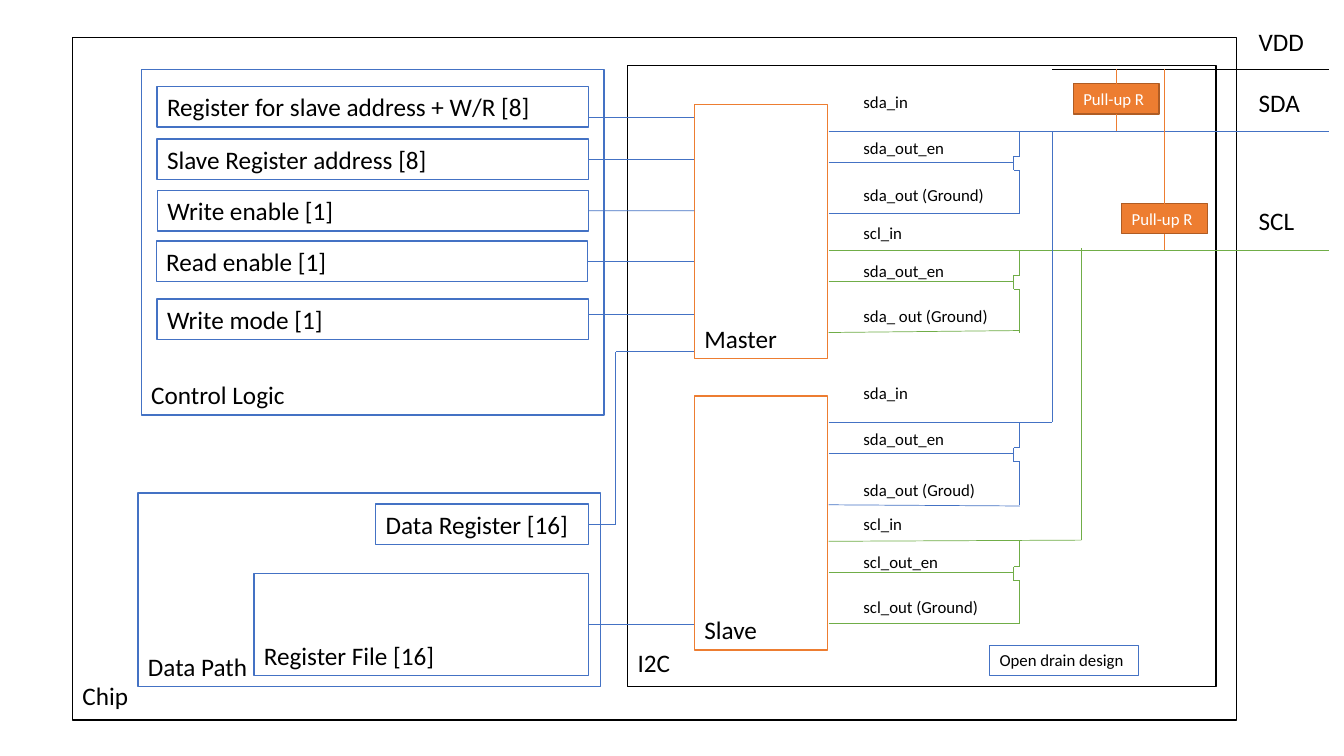
from dataclasses import dataclass
from typing import Optional

from lxml import etree
from pptx import Presentation
from pptx.dml.color import RGBColor
from pptx.enum.shapes import MSO_CONNECTOR, MSO_SHAPE
from pptx.enum.text import MSO_ANCHOR, MSO_AUTO_SIZE
from pptx.oxml.ns import qn
from pptx.shapes.autoshape import Shape
from pptx.shapes.connector import Connector
from pptx.slide import Slide
from pptx.util import Cm, Pt

RECT = MSO_SHAPE.RECTANGLE
LINE = MSO_CONNECTOR.STRAIGHT
MIDDLE, BOTTOM = MSO_ANCHOR.MIDDLE, MSO_ANCHOR.BOTTOM
NO_FIT = MSO_AUTO_SIZE.NONE
TOP_SIDE, LOW_SIDE, RIGHT_SIDE = 0, 2, 3


@dataclass(frozen=True)
class Theme:
    font: str = "Calibri"
    black: str = "000000"
    white: str = "FFFFFF"
    blue: str = "4472C4"
    orange: str = "ED7D31"
    rust: str = "AF5C24"
    green: str = "70AD47"
    large: int = 18
    small: int = 12
    thin: float = 0.5
    thick: float = 1


THEME = Theme()


@dataclass(frozen=True)
class Box:
    text: str
    x: float
    y: float
    w: float
    h: float
    line: str = THEME.blue
    fill: str = THEME.white
    ink: str = THEME.black
    size: int = THEME.large
    foot: float = 0.13


@dataclass(frozen=True)
class Label:
    text: str
    x: float
    y: float
    w: float
    h: float
    size: int


@dataclass(frozen=True)
class Wire:
    x1: float
    y1: float
    x2: float
    y2: float
    color: str = THEME.blue
    width: float = THEME.thin


@dataclass(frozen=True)
class Port:
    """One open-drain pin: its bus line, its switch and three labels."""
    bus: float
    color: str
    names: tuple[tuple[str, float], ...]
    tilt: float = 0


@dataclass(frozen=True)
class Pull:
    x: float
    y: float
    bus: float


# Edges and rails, in cm
PIN_L, PIN_R, REG_R = 17.5, 20.88, 14.83
DRAIN, GATE, EDGE = 25.7, 25.55, 33.5
VDD, SDA, SCL = 1.75, 3.3, 6.3
SDA_2, SCL_2 = 10.64, 13.64
SDA_TAP, SCL_TAP = 26.52, 27.25
ROW_H, TAG_H = 1.02, 0.76

FRAMES = (
    Box("Chip", 1.83, 0.94, 29.34, 17.2, THEME.black, foot=0.23),
    Box("I2C", 15.82, 1.65, 14.83, 15.65, THEME.black, foot=0.23),
    Box("Master", PIN_L, 2.64, 3.35, 6.4, THEME.orange),
    Box("Slave", PIN_L, 9.98, 3.35, 6.4, THEME.orange),
    Box("Control Logic", 3.56, 1.75, 11.66, 8.71),
    Box("Data Path", 3.48, 12.42, 11.66, 4.88),
    Box("Open drain design", 24.94, 16.26, 3.76, TAG_H, size=THEME.small),
)
FILE = Box("Register File [16]", 6.4, 14.45, 8.43, 2.57)
DATA = Box("Data Register [16]", 9.47, 12.7, 5.36, ROW_H)

# Control registers: text, left, top, and wire height where it is off centre
REGS: tuple[tuple[str, float, float, Optional[float]], ...] = (
    ("Register for slave address + W/R [8]", 3.96, 2.18, 2.95),
    ("Slave Register address [8]", 3.96, 3.5, None),
    ("Write enable [1]", 3.97, 4.8, None),
    ("Read enable [1]", 3.94, 6.07, None),
    ("Write mode [1]", 3.96, 7.54, 7.92),
)

PORTS = (
    Port(SDA, THEME.blue, (("sda_in", 2.18), ("sda_out_en", 3.35),
                           ("sda_out (Ground)", 4.52))),
    Port(SCL, THEME.green, (("scl_in", 5.49), ("sda_out_en", 6.45),
                            ("sda_ out (Ground)", 7.57)), -0.05),
    Port(SDA_2, THEME.blue, (("sda_in", 9.53), ("sda_out_en", 10.69),
                             ("sda_out (Groud)", 11.96)), 0.03),
    Port(SCL_2, THEME.green, (("scl_in", 12.83), ("scl_out_en", 13.79),
                              ("scl_out (Ground)", 14.91))),
)

BUSES = (
    Wire(PIN_R, SDA, EDGE, SDA),
    Wire(PIN_R, SCL, EDGE, SCL, THEME.green),
    Wire(PIN_R, SDA_2, SDA_TAP, SDA_2),
    Wire(PIN_R, SCL_2, SCL_TAP, 13.61, THEME.green),
    Wire(SDA_TAP, SDA_2, SDA_TAP, SDA),
    Wire(SCL_TAP, 13.61, SCL_TAP, 6.25, THEME.green),
    Wire(SDA_TAP, VDD, EDGE, VDD, THEME.black),
    Wire(15.52, 13.21, 15.52, 8.86),
    Wire(15.52, 8.86, PIN_L, 8.86),
)
RAILS = (("VDD", 0.53), ("SDA", 2.08), ("SCL", 5.05))
PULLS = (Pull(27.05, 2.11, SDA), Pull(28.27, 5.13, SCL))


def color(code: str) -> RGBColor:
    return RGBColor.from_string(code)


def write(shape: Shape, text: str, size: int, ink: str) -> None:
    frame = shape.text_frame
    frame.word_wrap = True
    frame.auto_size = NO_FIT
    para = frame.paragraphs[0]
    para.text = text
    para.alignment = 1
    para.font.name = THEME.font
    para.font.size = Pt(size)
    para.font.color.rgb = color(ink)


def draw_box(slide: Slide, box: Box) -> Shape:
    shape = slide.shapes.add_shape(RECT, Cm(box.x), Cm(box.y), Cm(box.w), Cm(box.h))
    shape.shadow.inherit = False
    shape.fill.solid()
    shape.fill.fore_color.rgb = color(box.fill)
    shape.line.color.rgb = color(box.line)
    shape.line.width = Pt(THEME.thick)
    write(shape, box.text, box.size, box.ink)
    shape.text_frame.margin_bottom = Cm(box.foot)
    shape.text_frame.vertical_anchor = BOTTOM if box.h > ROW_H else MIDDLE
    return shape


def draw_label(slide: Slide, label: Label) -> None:
    shape = slide.shapes.add_textbox(Cm(label.x), Cm(label.y), Cm(label.w), Cm(label.h))
    write(shape, label.text, label.size, THEME.black)


def draw_wire(slide: Slide, wire: Wire) -> Connector:
    line = slide.shapes.add_connector(
        LINE, Cm(wire.x1), Cm(wire.y1), Cm(wire.x2), Cm(wire.y2))
    line.line.color.rgb = color(wire.color)
    line.line.width = Pt(wire.width)
    etree.SubElement(line._element.spPr, qn("a:effectLst"))
    return line


def draw_port(slide: Slide, port: Port) -> None:
    top, low, gate, ground = (port.bus + step for step in (0.64, 0.99, 0.79, 2.08))
    for ends in (
        (DRAIN, port.bus, DRAIN, top), (DRAIN, top, GATE, top),
        (GATE, top, GATE, low), (DRAIN, low, GATE, low),
        (DRAIN, low, DRAIN, ground), (PIN_R, gate, GATE, gate),
        (PIN_R, ground, DRAIN, ground + port.tilt),
    ):
        draw_wire(slide, Wire(*ends, port.color))
    for text, y in port.names:
        draw_label(slide, Label(text, 21.51, y, 3.71, TAG_H, THEME.small))


def draw_pull(slide: Slide, pull: Pull) -> None:
    box = Box("Pull-up R", pull.x, pull.y, 2.16, TAG_H, THEME.rust,
              THEME.orange, THEME.white, THEME.small)
    shape = draw_box(slide, box)
    mid = pull.x + box.w / 2
    for side, y, end in ((TOP_SIDE, pull.y, VDD), (LOW_SIDE, pull.y + TAG_H, pull.bus)):
        draw_wire(slide, Wire(mid, y, mid, end, THEME.orange)).begin_connect(shape, side)


def draw_source(slide: Slide, box: Box, end: float, width: float,
                off: Optional[float] = None) -> None:
    """A register and the wire that leaves its right side."""
    shape = draw_box(slide, box)
    y = off or box.y + box.h / 2
    line = draw_wire(slide, Wire(box.x + box.w, y, end, y, width=width))
    if off is None:
        line.begin_connect(shape, RIGHT_SIDE)


def main() -> None:
    deck = Presentation()
    deck.slide_width, deck.slide_height = Cm(33.87), Cm(19.05)
    slide = deck.slides.add_slide(deck.slide_layouts[6])
    # Blocks
    for box in FRAMES:
        draw_box(slide, box)
    # Registers with their wires
    for text, x, y, off in REGS:
        draw_source(slide, Box(text, x, y, REG_R - 3.96, ROW_H), PIN_L, THEME.thin, off)
    draw_source(slide, FILE, PIN_L, THEME.thick)
    draw_source(slide, DATA, 15.52, THEME.thick)
    # Buses, pins and pull-ups
    for wire in BUSES:
        draw_wire(slide, wire)
    for port in PORTS:
        draw_port(slide, port)
    for pull in PULLS:
        draw_pull(slide, pull)
    # Rail names
    for text, y in RAILS:
        draw_label(slide, Label(text, 31.47, y, 1.73, ROW_H, THEME.large))
    deck.save("out.pptx")


if __name__ == "__main__":
    main()
